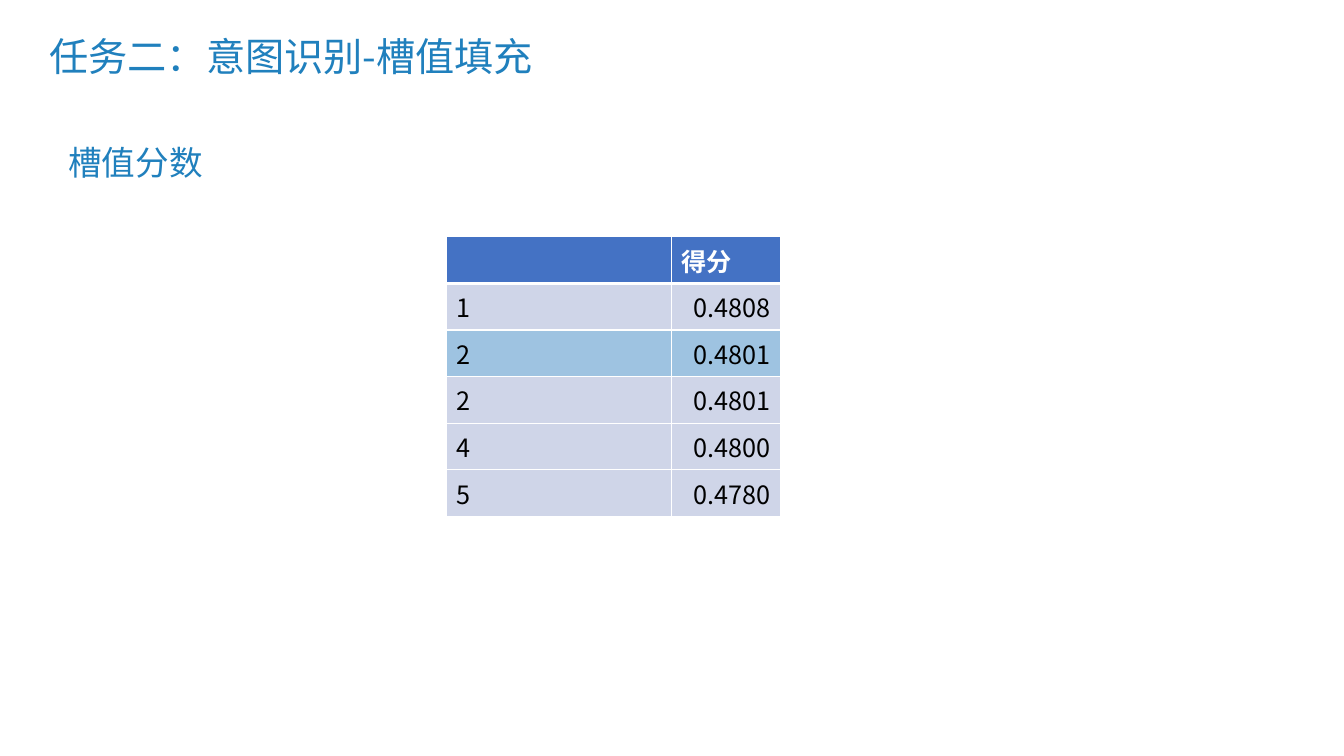
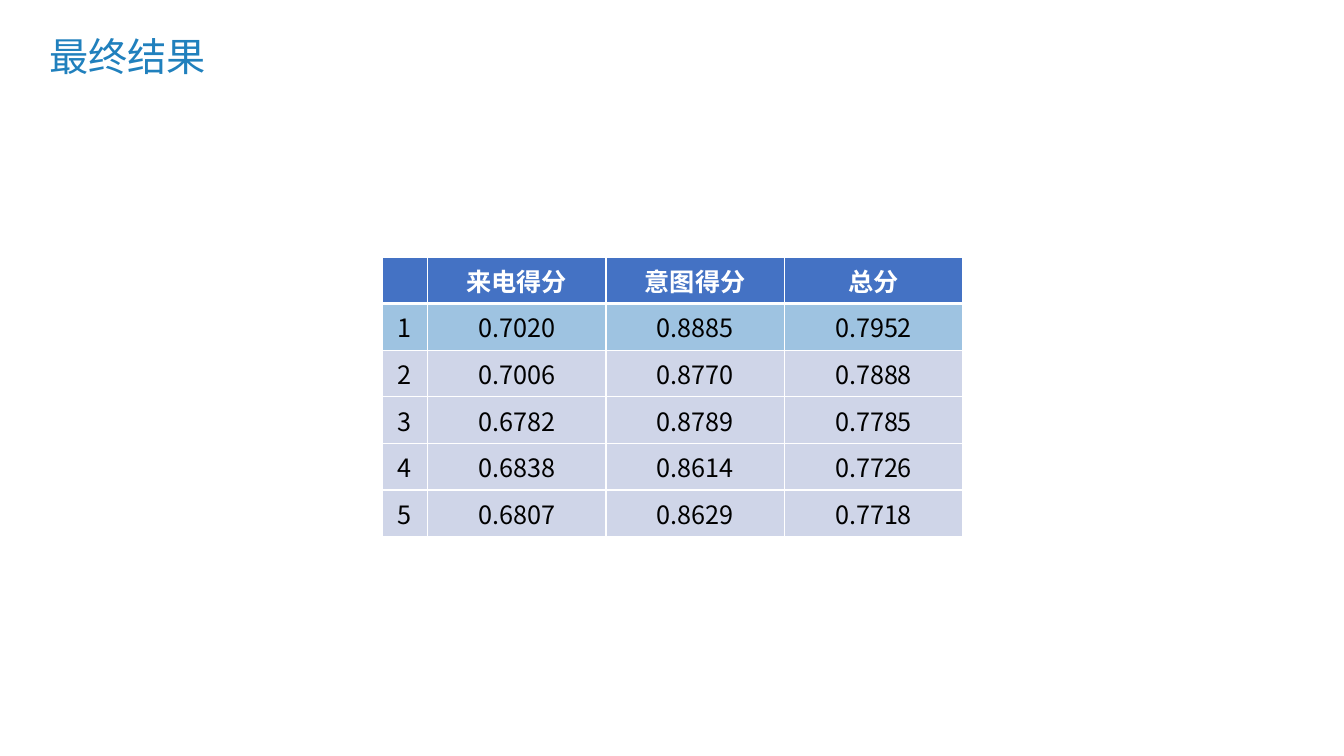
from dataclasses import dataclass

from lxml.etree import SubElement
from pptx import Presentation
from pptx.dml.color import RGBColor as RGB
from pptx.enum.text import MSO_ANCHOR as ANCHOR, MSO_AUTO_SIZE as AUTO, PP_ALIGN as AL
from pptx.oxml.ns import qn
from pptx.util import Inches, Pt


@dataclass(frozen=True)
class Theme:
    font: str = "Noto Sans CJK SC"
    accent: str = "2080BD"
    header: str = "4472C4"
    row: str = "CFD5E8"
    highlight: str = "9EC3E1"
    light: str = "FFFFFF"
    dark: str = "000000"
    title_size: int = 28
    heading_size: int = 24
    cell_size: int = 18
    row_height: float = 0.46
    thin: int = 1
    thick: int = 3


class Deck:
    def __init__(self, theme):
        self.theme = theme
        self.prs = Presentation()
        self.prs.slide_width, self.prs.slide_height = Inches(13.33), Inches(7.5)
        self.s = None

    def text(self, tf, text, size, color, bold=False, align=AL.LEFT):
        p = tf.paragraphs[0]
        p.text, p.alignment = text, align
        f = p.font
        f.name, f.size, f.bold = self.theme.font, Pt(size), bold
        f.color.rgb = RGB.from_string(color)
        # East Asian text takes its typeface from a:ea
        def_rpr = p._p.pPr.find(qn("a:defRPr"))
        SubElement(def_rpr, qn("a:ea"), typeface=self.theme.font)
        return p

    def slide(self, title):
        self.s = self.prs.slides.add_slide(self.prs.slide_layouts[5])
        sp = self.s.shapes.title
        sp.left, sp.top = Inches(0.39), Inches(0.29)
        sp.width, sp.height = Inches(11.5), Inches(0.59)
        tf = sp.text_frame
        tf.vertical_anchor, tf.auto_size = ANCHOR.MIDDLE, AUTO.NONE
        p = self.text(tf, title, self.theme.title_size, self.theme.accent)
        p.line_spacing = 0.9

    def heading(self, text, left, top, width, height):
        sp = self.s.shapes.add_textbox(
            Inches(left), Inches(top), Inches(width), Inches(height))
        tf = sp.text_frame
        tf.word_wrap, tf.auto_size = False, AUTO.SHAPE_TO_FIT_TEXT
        self.text(tf, text, self.theme.heading_size, self.theme.accent)

    def borders(self, cell, top, bottom):
        tc_pr = cell._tc.get_or_add_tcPr()
        thin = self.theme.thin
        for side, width in (("L", thin), ("R", thin), ("T", top), ("B", bottom)):
            ln = SubElement(tc_pr, qn(f"a:ln{side}"), w=str(Pt(width)))
            fill = SubElement(ln, qn("a:solidFill"))
            SubElement(fill, qn("a:srgbClr"), val=self.theme.light)

    def table(self, left, top, widths, rows, highlight, head_align, aligns):
        """Score table: rows[0] is the header, highlight is a row index."""
        t = self.theme
        table = self.s.shapes.add_table(
            len(rows), len(widths), Inches(left), Inches(top),
            Inches(sum(widths)), Inches(t.row_height * len(rows))).table
        table.horz_banding = False
        for column, width in zip(table.columns, widths):
            column.width = Inches(width)
        for i, values in enumerate(rows):
            head = i == 0
            fill = t.header if head else t.highlight if i == highlight else t.row
            for j, value in enumerate(values):
                cell = table.cell(i, j)
                # The heavy rule lies between the header and the first row
                self.borders(cell, t.thick if i == 1 else t.thin,
                             t.thick if head else t.thin)
                cell.fill.solid()
                cell.fill.fore_color.rgb = RGB.from_string(fill)
                self.text(cell.text_frame, value, t.cell_size,
                          t.light if head else t.dark, head,
                          head_align if head else aligns[j])


def main():
    deck = Deck(Theme())

    # Slot scores
    deck.slide("任务二：意图识别-槽值填充")
    deck.table(4.43, 2.35, [2.23, 1.08], [
        ("", "得分"),
        ("1", "0.4808"),
        ("2", "0.4801"),
        ("2", "0.4801"),
        ("4", "0.4800"),
        ("5", "0.4780"),
    ], highlight=2, head_align=AL.LEFT, aligns=[AL.LEFT, AL.RIGHT])
    deck.heading("槽值分数", 0.58, 1.36, 1.55, 0.5)

    # Final results
    deck.slide("最终结果")
    deck.table(3.79, 2.55, [0.45] + [1.77] * 3, [
        ("", "来电得分", "意图得分", "总分"),
        ("1", "0.7020", "0.8885", "0.7952"),
        ("2", "0.7006", "0.8770", "0.7888"),
        ("3", "0.6782", "0.8789", "0.7785"),
        ("4", "0.6838", "0.8614", "0.7726"),
        ("5", "0.6807", "0.8629", "0.7718"),
    ], highlight=1, head_align=AL.CENTER, aligns=[AL.CENTER] * 4)

    deck.prs.save("out.pptx")


if __name__ == "__main__":
    main()
